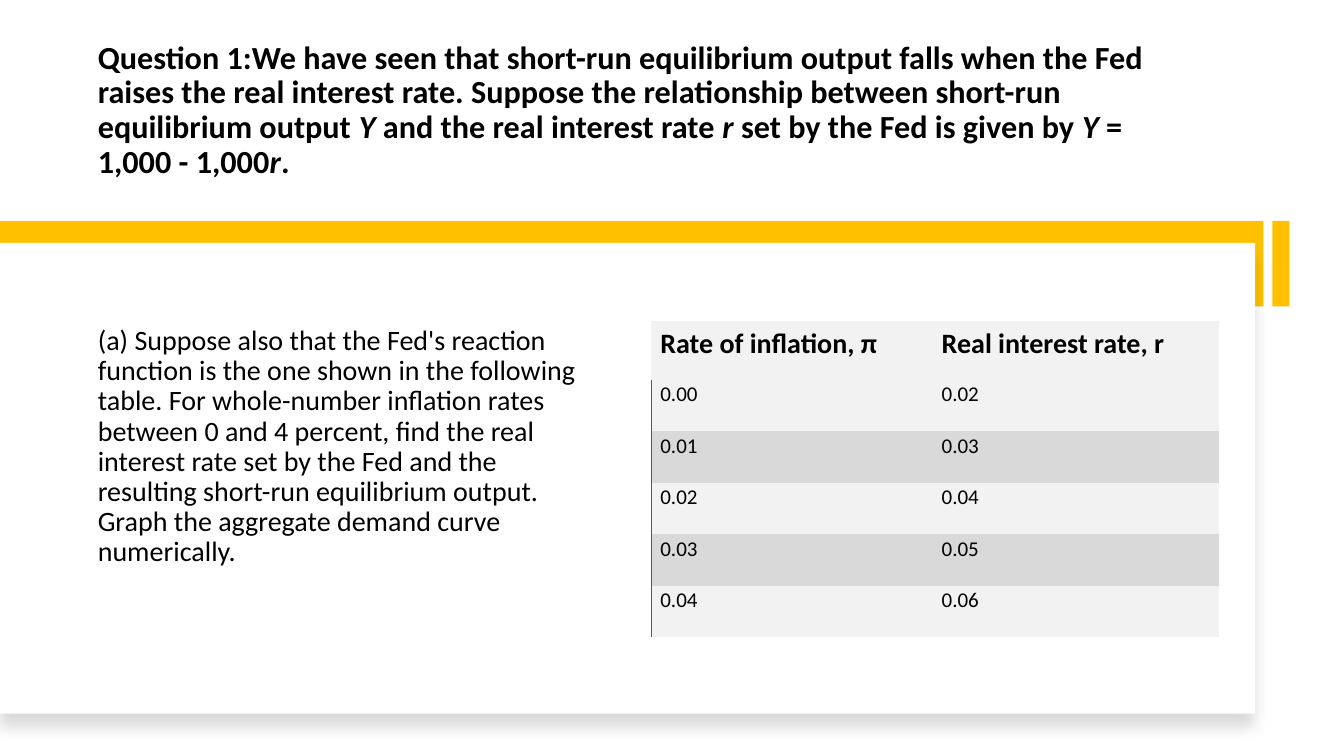
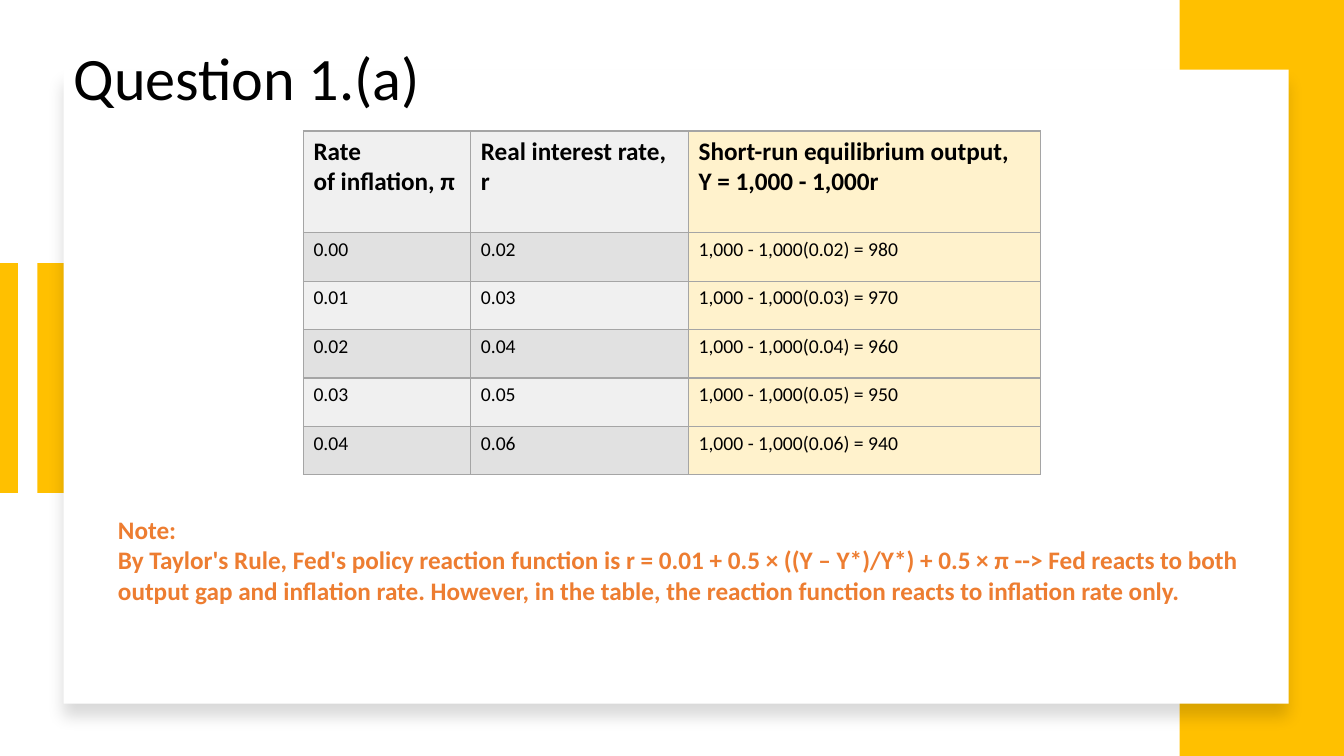
from lxml.etree import SubElement
from pptx import Presentation
from pptx.dml.color import RGBColor
from pptx.enum.shapes import MSO_CONNECTOR, MSO_SHAPE
from pptx.enum.text import MSO_ANCHOR, MSO_AUTO_SIZE, PP_ALIGN
from pptx.oxml import parse_xml
from pptx.oxml.ns import nsdecls, qn
from pptx.util import Inches, Pt

FONT = "Calibri"
COLORS = {
    "text": "000000", "note": "ED7D31", "accent": "FFC000", "panel": "FFFFFF",
    "light": "F2F2F2", "dark": "D9D9D9", "edge": "595959",
    "grid_light": "F0F0F0", "grid_dark": "E1E1E1", "result": "FFF2CC", "grid": "A5A5A5",
}
NO_TABLE_STYLE = "{2D5ABB26-0587-4C30-8999-92F81FD0307C}"

# Underscores enclose italic words; a line feed starts a new paragraph.
QUESTION = (
    "Question 1:We have seen that short-run equilibrium output falls when the Fed raises "
    "the real interest rate. Suppose the relationship between short-run equilibrium output "
    "_Y_ and the real interest rate _r_ set by the Fed is given by _Y_ = 1,000 - 1,000_r_."
)
PART_A = (
    "(a) Suppose also that the Fed's reaction function is the one shown in the following "
    "table. For whole-number inflation rates between 0 and 4 percent, find the real interest "
    "rate set by the Fed and the resulting short-run equilibrium output. Graph the aggregate "
    "demand curve numerically."
)
ANSWER_TITLE = "Question 1.(a)"
NOTE = (
    "Note:\nBy Taylor's Rule, Fed's policy reaction function is r = 0.01 + 0.5 × "
    "((Y – Y*)/Y*) + 0.5 × π --> Fed reacts to both output gap and inflation rate. "
    "However, in the table, the reaction function reacts to inflation rate only."
)
REACTION_HEADER = ["Rate of inflation, π", "Real interest rate, r"]
OUTPUT_HEADER = ["Rate\nof inflation, π", "Real interest rate, r",
                 "Short-run equilibrium output,\nY = 1,000 - 1,000r"]
REACTION = [(0.00, 0.02), (0.01, 0.03), (0.02, 0.04), (0.03, 0.05), (0.04, 0.06)]


def rgb(name):
    return RGBColor.from_string(COLORS[name])


def inches(values):
    return [Inches(value) for value in values]


def write(frame, text, size, color="text", bold=False, line_spacing=1.0, anchor=MSO_ANCHOR.TOP):
    frame.word_wrap = True
    frame.vertical_anchor = anchor
    for index, line in enumerate(text.split("\n")):
        paragraph = frame.paragraphs[0] if index == 0 else frame.add_paragraph()
        properties = paragraph._p.get_or_add_pPr()
        properties.set("marL", "0")
        properties.set("indent", "0")
        SubElement(properties, qn("a:buNone"))
        paragraph.alignment = PP_ALIGN.LEFT
        paragraph.line_spacing = line_spacing
        paragraph.space_before = paragraph.space_after = Pt(0)
        for position, part in enumerate(line.split("_")):
            run = paragraph.add_run()
            run.text = part
            run.font.name, run.font.size, run.font.bold = FONT, Pt(size), bold
            run.font.italic = position % 2 == 1
            run.font.color.rgb = rgb(color)


def fill_placeholder(slide, placeholder, box, text, **text_format):
    """Place, fill and raise a placeholder above the bands and panel."""
    placeholder.left, placeholder.top, placeholder.width, placeholder.height = inches(box)
    placeholder.text_frame.auto_size = MSO_AUTO_SIZE.NONE
    write(placeholder.text_frame, text, **text_format)
    slide.shapes.element.append(placeholder.element)


def add_rectangle(slide, box, color):
    shape = slide.shapes.add_shape(MSO_SHAPE.RECTANGLE, *inches(box))
    shape.shadow.inherit = False
    shape.fill.solid()
    shape.fill.fore_color.rgb = rgb(color)
    shape.line.fill.background()
    return shape


def add_panel(slide, box):
    """White card with a soft shadow below it."""
    panel = add_rectangle(slide, box, "panel")
    effects = panel.element.spPr.find(qn("a:effectLst"))
    effects.append(parse_xml(
        f'<a:outerShdw {nsdecls("a")} blurRad="{Pt(11)}" dist="{Pt(10)}" dir="5400000" '
        'algn="t" rotWithShape="0"><a:srgbClr val="000000"><a:alpha val="15000"/>'
        '</a:srgbClr></a:outerShdw>'))


def add_vertical_line(slide, x, top, bottom, color, width):
    line = slide.shapes.add_connector(MSO_CONNECTOR.STRAIGHT, *inches((x, top, x, bottom)))
    line.line.color.rgb = rgb(color)
    line.line.width = Pt(width)
    SubElement(line.element.spPr, qn("a:effectLst"))


def set_borders(cell, sides, color, width):
    properties = cell._tc.get_or_add_tcPr()
    for index, side in enumerate(sides):
        properties.insert(index, parse_xml(
            f'<a:ln{side} {nsdecls("a")} w="{Pt(width)}"><a:solidFill>'
            f'<a:srgbClr val="{COLORS[color]}"/></a:solidFill></a:ln{side}>'))


def add_table(slide, left, top, widths, heights, rows, sizes, style_cell):
    """Heights and sizes are (header, body); style_cell finishes each cell."""
    row_heights = [heights[0]] + [heights[1]] * (len(rows) - 1)
    frame = slide.shapes.add_table(
        len(rows), len(widths), *inches((left, top, sum(widths), sum(row_heights))))
    table = frame.table
    table.first_row = table.horz_banding = False
    table._tbl.tblPr.find(qn("a:tableStyleId")).text = NO_TABLE_STYLE
    for column, width in zip(table.columns, widths):
        column.width = Inches(width)
    for row_index, texts in enumerate(rows):
        table.rows[row_index].height = Inches(row_heights[row_index])
        is_header = row_index == 0
        for column_index, text in enumerate(texts):
            cell = table.cell(row_index, column_index)
            write(cell.text_frame, text, size=sizes[0 if is_header else 1], bold=is_header)
            cell.fill.solid()
            style_cell(cell, row_index, column_index)


def style_reaction_cell(cell, row, column):
    margins = inches((0.09, 0.02, 0, 0.19))
    cell.margin_left, cell.margin_top, cell.margin_right, cell.margin_bottom = margins
    cell.fill.fore_color.rgb = rgb("dark" if row and row % 2 == 0 else "light")
    if row == 0:
        cell.vertical_anchor = MSO_ANCHOR.BOTTOM
    elif column == 0:
        set_borders(cell, "L", "edge", 0.75)


def style_output_cell(cell, row, column):
    band = "grid_dark" if row % 2 else "grid_light"
    cell.fill.fore_color.rgb = rgb("result" if column == 2 else band)
    set_borders(cell, "LRTB", "grid", 1)


def build_question(slide):
    for left, width in ((0, 12.53), (12.62, 0.17)):
        add_rectangle(slide, (left, 2.19, width, 0.85), "accent")
    add_panel(slide, (0, 2.41, 12.45, 4.67))
    fill_placeholder(slide, slide.shapes.title, (0.87, 0.42, 11.01, 1.42), QUESTION,
                     size=23, bold=True, line_spacing=0.9, anchor=MSO_ANCHOR.BOTTOM)
    fill_placeholder(slide, slide.placeholders[1], (0.87, 2.04, 4.96, 4.79), PART_A,
                     size=20, line_spacing=0.9, anchor=MSO_ANCHOR.MIDDLE)
    rows = [REACTION_HEADER] + [(f"{inflation:.2f}", f"{rate:.2f}")
                                for inflation, rate in REACTION]
    add_table(slide, 6.46, 3.18, (2.79, 2.84), (0.59, 0.51), rows, (20, 15),
              style_reaction_cell)


def build_answer(slide):
    add_rectangle(slide, (0.37, 2.61, 0.34, 2.28), "accent")
    add_vertical_line(slide, 0.08, 2.61, 4.89, "accent", 14)
    add_rectangle(slide, (11.7, 0, 1.63, 7.5), "accent")
    add_panel(slide, (0.63, 0.69, 12.15, 6.29))
    fill_placeholder(slide, slide.shapes.title, (0.63, 0.35, 9.48, 0.82), ANSWER_TITLE, size=43)
    fill_placeholder(slide, slide.placeholders[1], (1.07, 4.88, 11.57, 1.35), NOTE,
                     size=18, color="note", bold=True, anchor=MSO_ANCHOR.MIDDLE)
    rows = [OUTPUT_HEADER] + [
        (f"{inflation:.2f}", f"{rate:.2f}",
         f"1,000 - 1,000({rate:.2f}) = {1000 - 1000 * rate:.0f}")
        for inflation, rate in REACTION]
    add_table(slide, 3.01, 1.3, (1.66, 2.16, 3.49), (1.01, 0.48), rows, (18, 14),
              style_output_cell)


def main():
    presentation = Presentation()
    presentation.slide_width, presentation.slide_height = inches((13.33, 7.5))
    for build in (build_question, build_answer):
        build(presentation.slides.add_slide(presentation.slide_layouts[1]))
    presentation.save("out.pptx")


if __name__ == "__main__":
    main()
